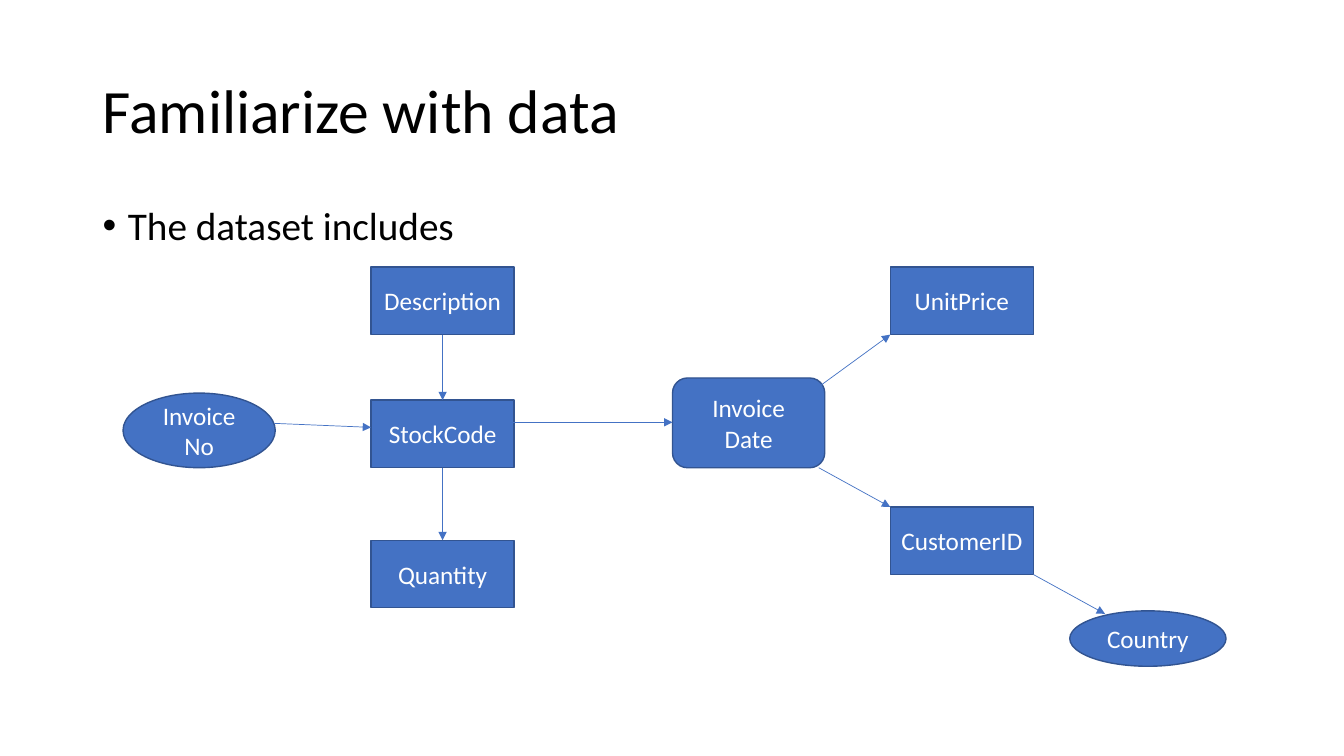
from dataclasses import dataclass

from lxml import etree
from pptx import Presentation
from pptx import util as u
from pptx.dml.color import RGBColor
from pptx.enum import shapes, text
from pptx.oxml import ns
from pptx.slide import Slide
from pptx.text.text import _Paragraph as Paragraph

BLACK = RGBColor(0x00, 0x00, 0x00)
WHITE = RGBColor(0xFF, 0xFF, 0xFF)
BLUE = RGBColor(0x44, 0x72, 0xC4)
DARK_BLUE = RGBColor(0x32, 0x54, 0x91)
FONT = "Calibri"

RECT = shapes.MSO_SHAPE.RECTANGLE
ROUNDED = shapes.MSO_SHAPE.ROUNDED_RECTANGLE
OVAL = shapes.MSO_SHAPE.OVAL

# Shared size of the rectangles and the columns and rows they stand in
FIELD_WIDTH, FIELD_HEIGHT = 1.42, 0.67
STOCK_LEFT, CUSTOMER_LEFT = 3.68, 8.83
STOCK_CENTER = STOCK_LEFT + FIELD_WIDTH / 2
CUSTOMER_RIGHT = CUSTOMER_LEFT + FIELD_WIDTH
TOP_ROW, STOCK_ROW, CUSTOMER_ROW, QUANTITY_ROW = 2.65, 3.97, 5.03, 5.36


@dataclass(frozen=True)
class Field:
    label: str
    left: float
    top: float
    width: float = FIELD_WIDTH
    height: float = FIELD_HEIGHT
    kind: shapes.MSO_SHAPE = RECT


@dataclass(frozen=True)
class Arrow:
    x1: float
    y1: float
    x2: float
    y2: float


FIELDS = [
    Field("Invoice\vNo", 1.22, 3.9, 1.51, 0.74, OVAL),
    Field("StockCode", STOCK_LEFT, STOCK_ROW),
    Field("Description", STOCK_LEFT, TOP_ROW),
    Field("Quantity", STOCK_LEFT, QUANTITY_ROW),
    Field("Invoice Date", 6.67, 3.75, 1.51, 0.89, ROUNDED),
    Field("UnitPrice", CUSTOMER_LEFT, TOP_ROW),
    Field("CustomerID", CUSTOMER_LEFT, CUSTOMER_ROW),
    Field("Country", 10.61, 6.06, 1.55, 0.55, OVAL),
]

ARROWS = [
    Arrow(2.72, 4.2, STOCK_LEFT, 4.24),
    Arrow(STOCK_CENTER, TOP_ROW + FIELD_HEIGHT, STOCK_CENTER, STOCK_ROW),
    Arrow(STOCK_CENTER, STOCK_ROW + FIELD_HEIGHT, STOCK_CENTER, QUANTITY_ROW),
    Arrow(4.99, 4.19, 6.67, 4.19),
    Arrow(7.98, 3.94, CUSTOMER_LEFT, TOP_ROW + FIELD_HEIGHT),
    Arrow(8.12, 4.64, CUSTOMER_LEFT, CUSTOMER_ROW),
    Arrow(CUSTOMER_RIGHT, CUSTOMER_ROW + FIELD_HEIGHT, 10.96, 6.09),
]


def set_font(para: Paragraph, size: float, color: RGBColor) -> None:
    para.font.name = FONT
    para.font.size = u.Pt(size)
    para.font.color.rgb = color


def add_text(page: Slide, words: str, top: float, width: float, height: float,
             size: float, anchor: text.MSO_ANCHOR) -> Paragraph:
    box = page.shapes.add_textbox(
        u.Inches(0.92), u.Inches(top), u.Inches(width), u.Inches(height))
    frame = box.text_frame
    frame.word_wrap = True
    frame.vertical_anchor = anchor
    para = frame.paragraphs[0]
    para.text = words
    para.line_spacing = 0.9
    set_font(para, size, BLACK)
    return para


def add_bullet(para: Paragraph, indent: float) -> None:
    props = para._p.get_or_add_pPr()
    props.set("marL", str(u.Inches(indent)))
    props.set("indent", str(-u.Inches(indent)))
    bullet_font = etree.Element(ns.qn("a:buFont"), typeface="Arial")
    bullet = etree.Element(ns.qn("a:buChar"), char="•")
    props.extend([bullet_font, bullet])


def add_field(page: Slide, field: Field) -> None:
    box = page.shapes.add_shape(
        field.kind, u.Inches(field.left), u.Inches(field.top),
        u.Inches(field.width), u.Inches(field.height))
    box.shadow.inherit = False
    box.fill.solid()
    box.fill.fore_color.rgb = BLUE
    box.line.color.rgb = DARK_BLUE
    box.line.width = u.Pt(1)
    frame = box.text_frame
    frame.word_wrap = True
    frame.vertical_anchor = text.MSO_ANCHOR.MIDDLE
    para = frame.paragraphs[0]
    para.text = field.label
    para.alignment = text.PP_ALIGN.CENTER
    set_font(para, 18, WHITE)


def add_arrow(page: Slide, arrow: Arrow) -> None:
    line = page.shapes.add_connector(
        shapes.MSO_CONNECTOR.STRAIGHT, u.Inches(arrow.x1), u.Inches(arrow.y1),
        u.Inches(arrow.x2), u.Inches(arrow.y2))
    line.line.color.rgb = BLUE
    line.line.width = u.Pt(0.5)
    # Arrowhead at the end, no shadow
    etree.SubElement(line.line._get_or_add_ln(), ns.qn("a:tailEnd"), type="triangle")
    etree.SubElement(line._element.spPr, ns.qn("a:effectLst"))


def main() -> None:
    deck = Presentation()
    deck.slide_width = u.Inches(13.33)
    deck.slide_height = u.Inches(7.5)
    page = deck.slides.add_slide(deck.slide_layouts[6])

    # Title and bullet
    add_text(page, "Familiarize with data", 0.4, 11.5, 1.45, 44,
             text.MSO_ANCHOR.MIDDLE)
    intro = add_text(page, "The dataset includes", 2, 11.82, 5.1, 28,
                     text.MSO_ANCHOR.TOP)
    intro.space_before = u.Pt(10)
    add_bullet(intro, 0.25)

    # Diagram of the data fields
    for field in FIELDS:
        add_field(page, field)
    for arrow in ARROWS:
        add_arrow(page, arrow)

    deck.save("out.pptx")


if __name__ == "__main__":
    main()
